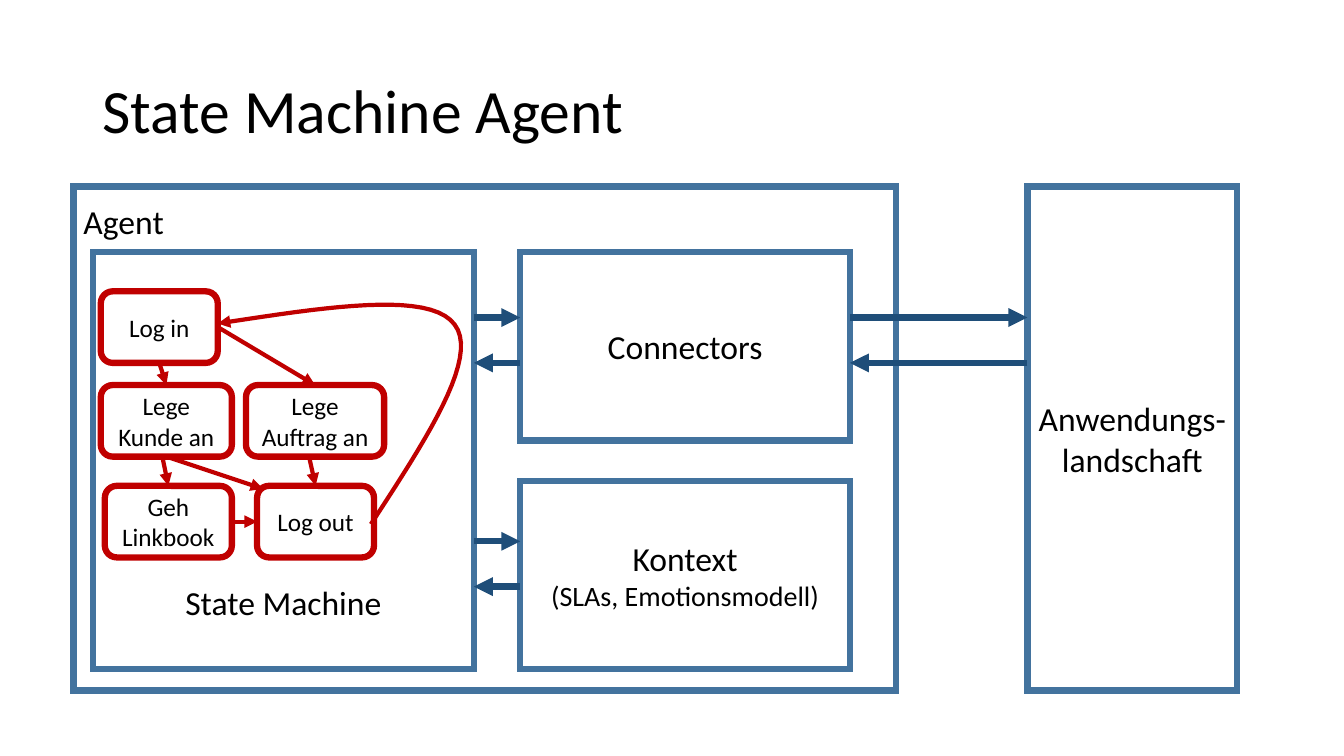
from dataclasses import dataclass
from typing import Optional

from lxml.etree import SubElement
from pptx import Presentation
from pptx.dml.color import RGBColor
from pptx.enum.shapes import MSO_CONNECTOR, MSO_SHAPE
from pptx.enum.text import MSO_ANCHOR, PP_ALIGN
from pptx.oxml.ns import qn
from pptx.util import Inches, Pt

COLORS = {"text": "000000", "fill": "FFFFFF", "frame": "43739E",
          "state": "C00000", "flow": "1F4E79"}
FONT = "Calibri"


@dataclass
class Box:
    left: float
    top: float
    width: float
    height: float
    lines: list[tuple[str, int]]
    color: str = "frame"
    filled: bool = False
    rounded: bool = False
    anchor: MSO_ANCHOR = MSO_ANCHOR.MIDDLE
    align: PP_ALIGN = PP_ALIGN.CENTER
    inset_top: float = 0.05
    inset_bottom: float = 0.05


@dataclass
class Arrow:
    start: tuple[float, float]
    end: tuple[float, float]
    begin_at: Optional[tuple[str, int]] = None
    end_at: Optional[tuple[str, int]] = None


def state(text: str, left: float, top: float, width: float) -> Box:
    return Box(left, top, width, 0.71, [(text, 18)], "state", rounded=True)


OUTER = [
    Box(10.19, 1.85, 2.08, 5, [("Anwendungs- landschaft", 24)], filled=True),
    Box(0.73, 1.85, 8.16, 5, [("Agent", 24)], filled=True,
        anchor=MSO_ANCHOR.TOP, align=PP_ALIGN.LEFT, inset_top=0.14),
]
STATES = [
    state("Log in", 1, 2.89, 1.16),
    state("Lege Kunde an", 1, 3.82, 1.3),
    state("Lege Auftrag an", 2.44, 3.82, 1.37),
    state("Geh Linkbook", 1.04, 4.82, 1.26),
    state("Log out", 2.55, 4.82, 1.16),
]
MODULES = [
    Box(0.92, 2.5, 3.78, 4.14, [("State Machine", 24)],
        anchor=MSO_ANCHOR.BOTTOM, inset_bottom=0.47),
    Box(5.16, 2.5, 3.27, 1.87, [("Connectors", 24)]),
    Box(5.16, 4.77, 3.27, 1.87, [("Kontext", 24), ("(SLAs, Emotionsmodell)", 20)]),
]
TRANSITIONS = [
    Arrow((1.58, 3.6), (1.65, 3.82), ("Log in", 2), ("Lege Kunde an", 0)),
    Arrow((2.16, 3.25), (3.13, 3.82), ("Log in", 3), ("Lege Auftrag an", 0)),
    Arrow((1.61, 4.53), (1.67, 4.82), end_at=("Geh Linkbook", 0)),
    Arrow((3.07, 4.55), (3.13, 4.82), end_at=("Log out", 0)),
    Arrow((1.65, 4.53), (2.61, 4.85), begin_at=("Lege Kunde an", 2)),
    Arrow((2.3, 5.18), (2.55, 5.18), ("Geh Linkbook", 3), ("Log out", 1)),
]
# Each entry: left x, right x, y of the arrow to the right; the way back is below it
FLOWS = [(4.7, 5.16, 3.15), (8.43, 10.19, 3.15), (4.7, 5.16, 5.37)]
FLOW_GAP = 0.45
RETURN_CURVE = [
    [(3.68, 5.2), (4.22, 4.37), (4.76, 3.55), (4.51, 3.22)],
    [(4.51, 3.22), (4.26, 2.88), (3.21, 3.05), (2.16, 3.21)],
]
CURVE_STEPS = 20


def rgb(name: str) -> RGBColor:
    return RGBColor.from_string(COLORS[name])


def add_text(tf, text: str, *, size: int, first: bool = True,
             align: PP_ALIGN = PP_ALIGN.LEFT, spacing: float = 1.0) -> None:
    p = tf.paragraphs[0] if first else tf.add_paragraph()
    p.alignment = align
    p.line_spacing = spacing
    r = p.add_run()
    r.text = text
    r.font.name = FONT
    r.font.size = Pt(size)
    r.font.color.rgb = rgb("text")


def set_line(line, color: str, width: float, *, arrow: bool = False) -> None:
    line.color.rgb = rgb(color)
    line.width = Pt(width)
    ln = line._get_or_add_ln()
    SubElement(ln, qn("a:miter"), lim="800000")
    if arrow:
        SubElement(ln, qn("a:tailEnd"), type="triangle")


def add_box(s, box: Box):
    kind = MSO_SHAPE.ROUNDED_RECTANGLE if box.rounded else MSO_SHAPE.RECTANGLE
    sp = s.shapes.add_shape(kind, Inches(box.left), Inches(box.top),
                            Inches(box.width), Inches(box.height))
    sp.shadow.inherit = False
    if box.filled:
        sp.fill.solid()
        sp.fill.fore_color.rgb = rgb("fill")
    else:
        sp.fill.background()
    set_line(sp.line, box.color, 4.5)
    tf = sp.text_frame
    tf.word_wrap = True
    tf.vertical_anchor = box.anchor
    tf.margin_top = Inches(box.inset_top)
    tf.margin_bottom = Inches(box.inset_bottom)
    for i, (text, size) in enumerate(box.lines):
        add_text(tf, text, size=size, first=i == 0, align=box.align)
    return sp


def add_arrow(s, arrow: Arrow, color: str, width: float, boxes: dict) -> None:
    ends = [Inches(v) for v in (*arrow.start, *arrow.end)]
    cxn = s.shapes.add_connector(MSO_CONNECTOR.STRAIGHT, *ends)
    if arrow.begin_at:
        text, site = arrow.begin_at
        cxn.begin_connect(boxes[text], site)
    if arrow.end_at:
        text, site = arrow.end_at
        cxn.end_connect(boxes[text], site)
    set_line(cxn.line, color, width, arrow=True)
    SubElement(cxn._element.spPr, qn("a:effectLst"))


def bezier(points: list[tuple[float, float]], t: float) -> tuple[int, int]:
    """Point of a cubic curve at t between 0 and 1."""
    weights = ((1 - t) ** 3, 3 * t * (1 - t) ** 2, 3 * t * t * (1 - t), t ** 3)
    x, y = (sum(w * p[axis] for w, p in zip(weights, points)) for axis in (0, 1))
    return Inches(x), Inches(y)


def add_return_curve(s) -> None:
    points = [bezier(part, i / CURVE_STEPS)
              for part in RETURN_CURVE for i in range(1, CURVE_STEPS + 1)]
    builder = s.shapes.build_freeform(*bezier(RETURN_CURVE[0], 0))
    builder.add_line_segments(points, close=False)
    sp = builder.convert_to_shape()
    sp.shadow.inherit = False
    sp.fill.background()
    set_line(sp.line, "state", 3, arrow=True)


def add_title(s, text: str) -> None:
    tf = s.shapes.add_textbox(Inches(0.92), Inches(0.4),
                              Inches(11.5), Inches(1.45)).text_frame
    tf.word_wrap = True
    tf.vertical_anchor = MSO_ANCHOR.MIDDLE
    add_text(tf, text, size=44, spacing=0.9)


def main() -> None:
    prs = Presentation()
    prs.slide_width, prs.slide_height = Inches(13.33), Inches(7.5)
    s = prs.slides.add_slide(prs.slide_layouts[6])
    add_title(s, "State Machine Agent")
    boxes = {box.lines[0][0]: add_box(s, box) for box in OUTER + STATES}
    for arrow in TRANSITIONS:
        add_arrow(s, arrow, "state", 3, boxes)
    add_return_curve(s)
    for box in MODULES:
        add_box(s, box)
    for left, right, y in FLOWS:
        back = y + FLOW_GAP
        add_arrow(s, Arrow((left, y), (right, y)), "flow", 4.5, boxes)
        add_arrow(s, Arrow((right, back), (left, back)), "flow", 4.5, boxes)
    prs.save("out.pptx")


if __name__ == "__main__":
    main()
